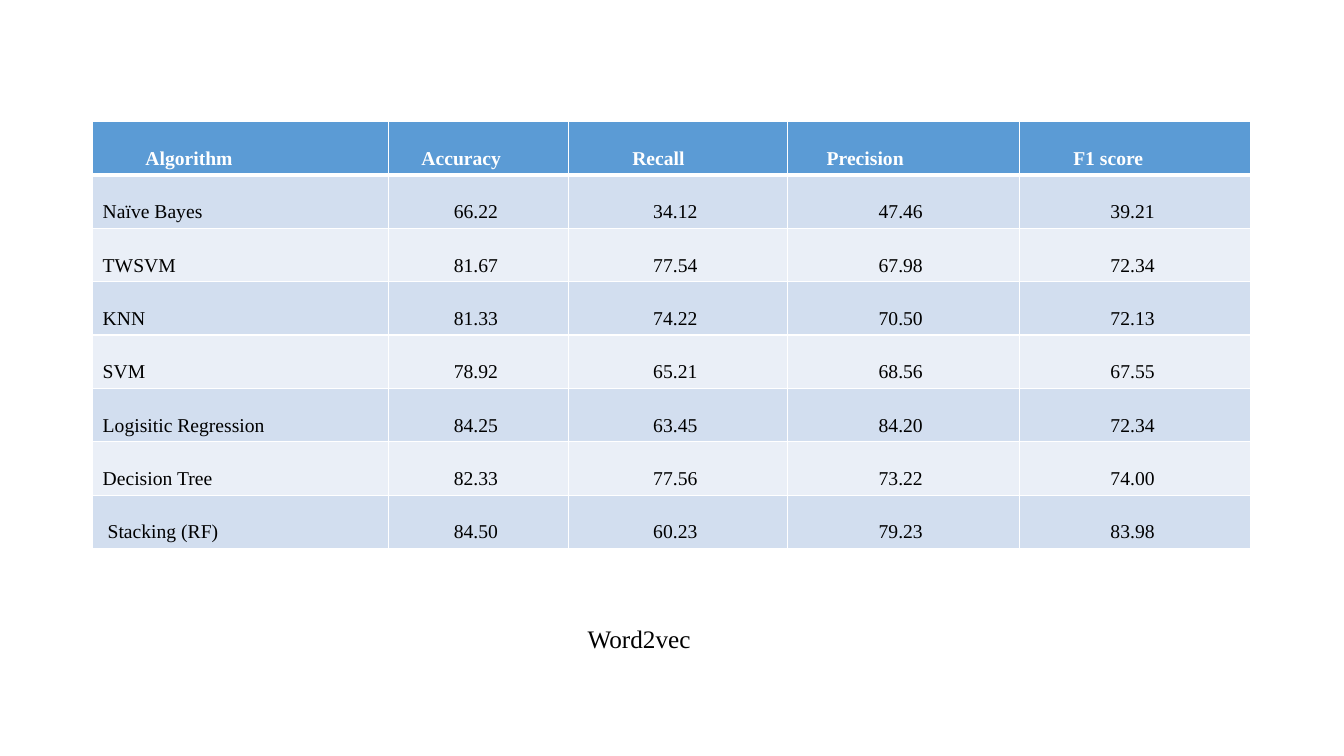
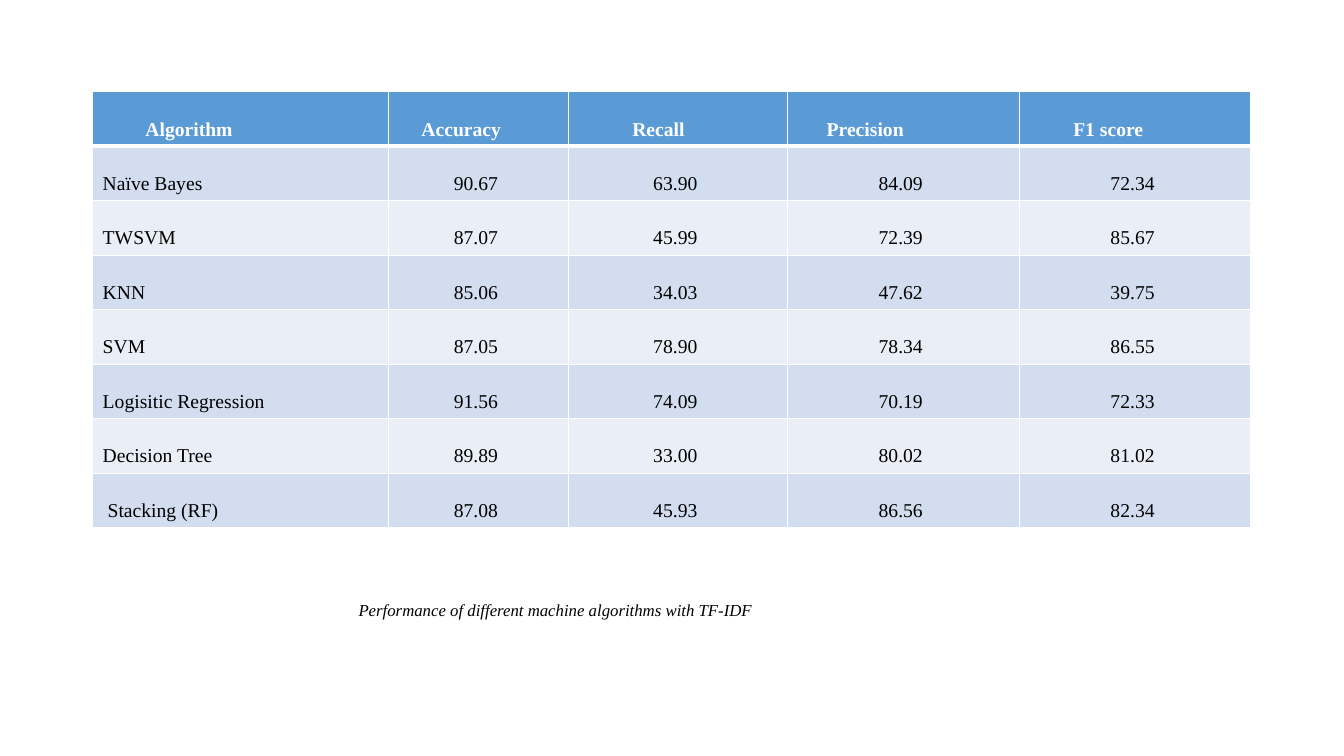
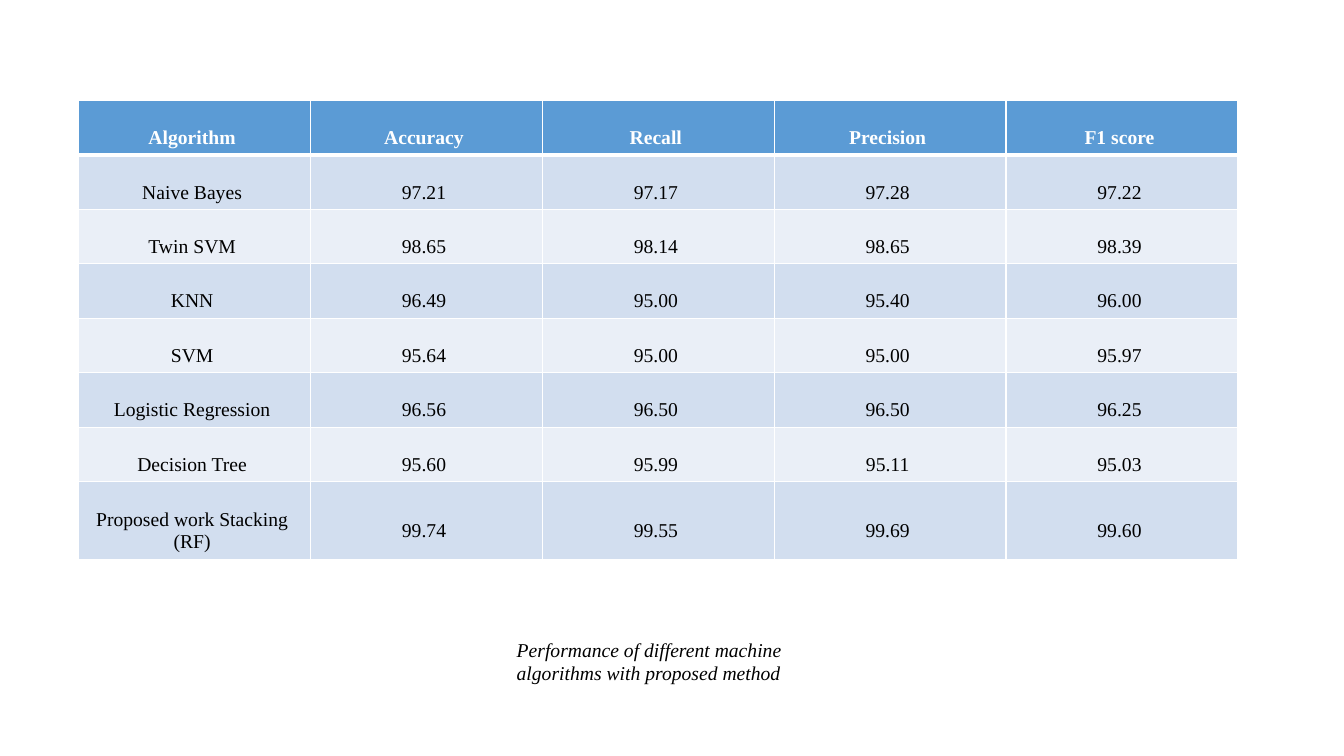
import pptx
import pptx.util
import pptx.dml.color
import pptx.enum.text
import pptx.oxml
import pptx.oxml.ns

Pt = pptx.util.Pt
ALIGN = pptx.enum.text.PP_ALIGN
COLORS = {
    "header": "5B9BD5",
    "band_dark": "D2DEEF",
    "band_light": "EAEFF7",
    "white": "FFFFFF",
    "black": "000000",
}
FONT = {"name": "Times New Roman", "size": Pt(14), "bold": False, "italic": False}
CELL = {
    "margin_left": Pt(7.2),
    "margin_right": Pt(10.7),
    "margin_top": Pt(18.5),
    "margin_bottom": Pt(3.6),
    "vertical_anchor": pptx.enum.text.MSO_ANCHOR.MIDDLE,
}
ROW_HEIGHT = 38.15
HEADER = ["Algorithm", "Accuracy", "Recall", "Precision", "F1 score"]
HEADER_INDENTS = [30.5, 16.5, 38.5, 21, 31.5]
STACKING_INDENT = 3.5
WIDE_FIRST = [211.2, 128.6, 156.4, 165.6, 165.6]
EQUAL = [165.6] * 5
ALGORITHMS = ["Naïve Bayes", "TWSVM", "KNN", "SVM", "Logisitic Regression",
              "Decision Tree", "Stacking (RF)"]
PROPOSED_ALGORITHMS = ["Naive Bayes", "Twin SVM", "KNN", "SVM", "Logistic Regression",
                       "Decision Tree", "Proposed work Stacking (RF)"]
WORD2VEC = """66.22 34.12 47.46 39.21
81.67 77.54 67.98 72.34
81.33 74.22 70.50 72.13
78.92 65.21 68.56 67.55
84.25 63.45 84.20 72.34
82.33 77.56 73.22 74.00
84.50 60.23 79.23 83.98"""
TF_IDF = """90.67 63.90 84.09 72.34
87.07 45.99 72.39 85.67
85.06 34.03 47.62 39.75
87.05 78.90 78.34 86.55
91.56 74.09 70.19 72.33
89.89 33.00 80.02 81.02
87.08 45.93 86.56 82.34"""
PROPOSED = """97.21 97.17 97.28 97.22
98.65 98.14 98.65 98.39
96.49 95.00 95.40 96.00
95.64 95.00 95.00 95.97
96.56 96.50 96.50 96.25
95.60 95.99 95.11 95.03
99.74 99.55 99.69 99.60"""


def rgb(name):
    return pptx.dml.color.RGBColor.from_string(COLORS[name])


def apply(target, values):
    for key, value in values.items():
        setattr(target, key, value)


def write(p, text, color, align, **changes):
    p.alignment = align
    r = p.add_run()
    r.text = text
    apply(r.font, {**FONT, **changes})
    r.font.color.rgb = rgb(color)


def set_borders(cell, top, bottom):
    tc_pr = cell._tc.get_or_add_tcPr()
    for i, (side, width) in enumerate(zip("LRTB", (1, 1, top, bottom))):
        ln = pptx.oxml.parse_xml(
            f'<a:ln{side} {pptx.oxml.ns.nsdecls("a")} w="{Pt(width)}"><a:solidFill>'
            f'<a:srgbClr val="{COLORS["white"]}"/></a:solidFill></a:ln{side}>')
        tc_pr.insert(i, ln)


def fill_cell(cell, row, text, align, indent):
    fill = "header" if row == 0 else "band_dark" if row % 2 else "band_light"
    cell.fill.solid()
    cell.fill.fore_color.rgb = rgb(fill)
    set_borders(cell, 3 if row == 1 else 1, 3 if row == 0 else 1)
    apply(cell, CELL)
    cell.margin_left = Pt(7.2 + indent)
    write(cell.text_frame.paragraphs[0], text, "white" if row == 0 else "black",
          align, bold=row == 0)


def add_results(s, left, top, widths, algorithms, scores, centered=False, last_height=ROW_HEIGHT):
    rows = [HEADER] + [[name] + line.split()
                       for name, line in zip(algorithms, scores.splitlines())]
    heights = [ROW_HEIGHT] * (len(rows) - 1) + [last_height]
    table = s.shapes.add_table(len(rows), len(widths), Pt(left), Pt(top),
                               Pt(sum(widths)), Pt(sum(heights))).table
    for column, width in zip(table.columns, widths):
        column.width = Pt(width)
    for i, (values, height) in enumerate(zip(rows, heights)):
        table.rows[i].height = Pt(height)
        for j, text in enumerate(values):
            in_left = not centered and (i == 0 or j == 0)
            indent = 0
            if in_left and i == 0:
                indent = HEADER_INDENTS[j]
            elif in_left and i == len(rows) - 1:
                indent = STACKING_INDENT
            fill_cell(table.cell(i, j), i, text, ALIGN.LEFT if in_left else ALIGN.CENTER, indent)


def add_caption(s, box, text, align=ALIGN.LEFT, **changes):
    tf = s.shapes.add_textbox(*map(Pt, box)).text_frame
    tf.word_wrap = True
    tf.auto_size = pptx.enum.text.MSO_AUTO_SIZE.SHAPE_TO_FIT_TEXT
    write(tf.paragraphs[0], text, "black", align, **changes)


def main():
    prs = pptx.Presentation()
    prs.slide_width, prs.slide_height = Pt(960), Pt(540)
    blank = prs.slide_layouts[6]

    s = prs.slides.add_slide(blank)
    add_results(s, 66.2, 86.8, WIDE_FIRST, ALGORITHMS, WORD2VEC)
    add_caption(s, (255, 442, 403, 29), "Word2vec", ALIGN.CENTER, size=Pt(18))

    s = prs.slides.add_slide(blank)
    add_results(s, 66.2, 65.5, WIDE_FIRST, ALGORITHMS, TF_IDF)
    add_caption(s, (249, 425, 507.6, 21.8),
                "Performance of different machine algorithms with TF-IDF",
                size=Pt(12), italic=True)

    s = prs.slides.add_slide(blank)
    add_results(s, 56.2, 71.6, EQUAL, PROPOSED_ALGORITHMS, PROPOSED,
                centered=True, last_height=53.5)
    add_caption(s, (362, 452, 216, 41),
                "Performance of different machine algorithms with proposed method",
                italic=True)

    prs.save("out.pptx")


if __name__ == "__main__":
    main()
